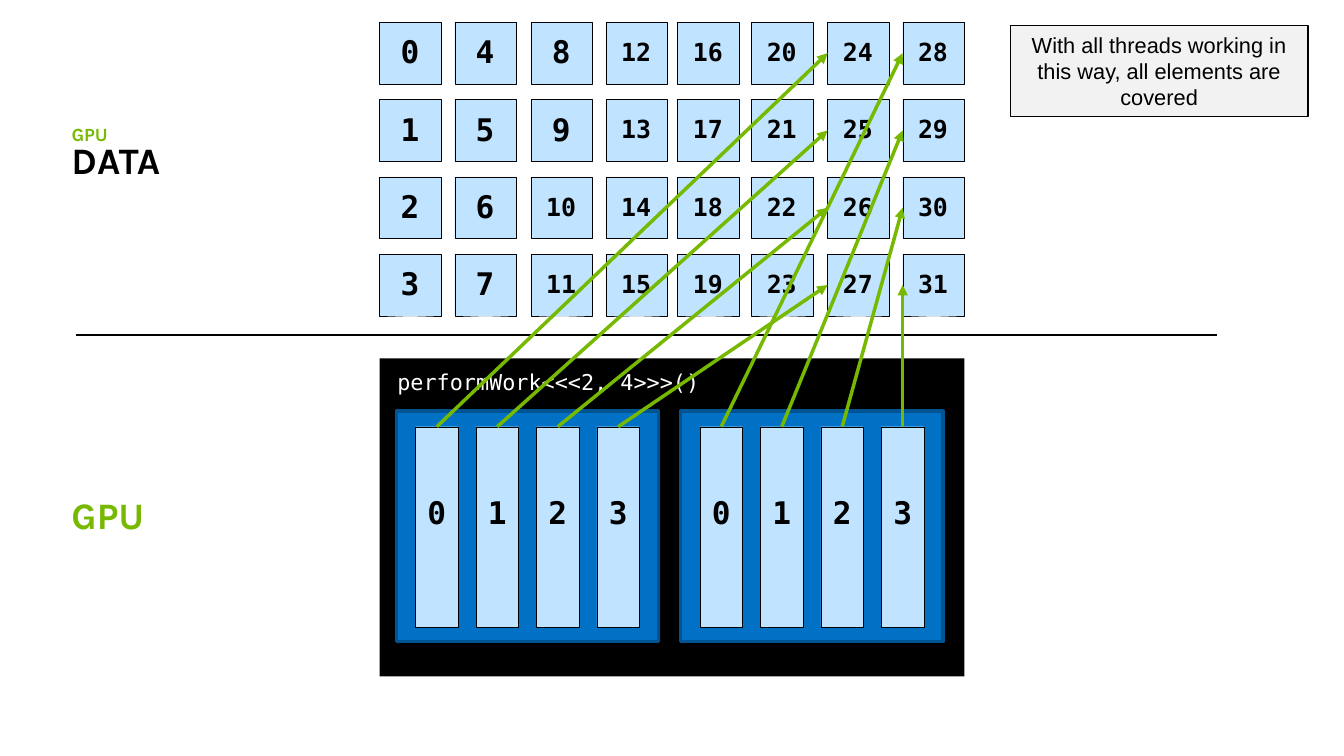
from dataclasses import dataclass

from lxml import etree
from pptx import Presentation
from pptx.dml.color import RGBColor
from pptx.enum import shapes, text
from pptx.oxml import ns
from pptx.util import Inches, Pt

COLORS = {
    "black": "000000",
    "white": "FFFFFF",
    "green": "76B900",
    "block": "0071C5",
    "block edge": "005492",
    "cell": "C0E4FF",
    "callout": "F2F2F2",
}
MONO = "DejaVu Sans Mono"
HEADING = "Karla"

ROWS = 4
COLUMN_LEFTS = (3.39, 4.06, 4.74, 5.41, 6.05, 6.71, 7.39, 8.06)
ROW_TOP, ROW_PITCH, CELL_SIZE = 0.2, 0.69, 0.55
BLOCK_LEFTS = (3.54, 6.08)
THREADS, THREAD_PITCH = 4, 0.54
FIRST_TARGET_COLUMN = 6


@dataclass(frozen=True)
class Box:
    left: float
    top: float
    width: float
    height: float

    def lengths(self):
        return [Inches(v) for v in (self.left, self.top, self.width, self.height)]


@dataclass(frozen=True)
class Style:
    size: float
    font: str
    color: str = "black"
    bold: bool = False
    align: text.PP_ALIGN = text.PP_ALIGN.LEFT
    anchor: text.MSO_ANCHOR = text.MSO_ANCHOR.MIDDLE
    spacing: float = 1.0


@dataclass(frozen=True)
class Heading:
    words: str
    box: Box
    size: float
    color: str


HEADINGS = (
    Heading("GPU", Box(0.54, 4.39, 0.97, 0.46), 24, "green"),
    Heading("DATA", Box(0.54, 1.22, 1.1, 0.46), 24, "black"),
    Heading("GPU", Box(0.54, 1.07, 0.55, 0.28), 12, "green"),
)


def rgb(name: str) -> RGBColor:
    return RGBColor.from_string(COLORS[name])


def add_rect(slide, box: Box, fill: str, edge: str = "", weight: float = 0):
    rect = slide.shapes.add_shape(shapes.MSO_SHAPE.RECTANGLE, *box.lengths())
    rect.shadow.inherit = False
    rect.fill.solid()
    rect.fill.fore_color.rgb = rgb(fill)
    if edge:
        rect.line.color.rgb = rgb(edge)
        rect.line.width = Pt(weight)
    else:
        rect.line.fill.background()
    return rect


def write(shape, words: str, style: Style) -> None:
    frame = shape.text_frame
    frame.word_wrap = True
    frame.vertical_anchor = style.anchor
    paragraph = frame.paragraphs[0]
    paragraph.text = words
    paragraph.alignment = style.align
    paragraph.line_spacing = style.spacing
    paragraph.font.size = Pt(style.size)
    paragraph.font.name = style.font
    paragraph.font.bold = style.bold
    paragraph.font.color.rgb = rgb(style.color)


def add_text(slide, box: Box, words: str, style: Style) -> None:
    write(slide.shapes.add_textbox(*box.lengths()), words, style)


def add_number(slide, number: int, left: float, middle: float) -> None:
    """Place a bold index, smaller when it has two digits, centred on middle."""
    size, height = (20, 0.44) if number < 10 else (16, 0.37)
    style = Style(size, MONO, bold=True, align=text.PP_ALIGN.CENTER)
    add_text(slide, Box(left, middle - height / 2, 0.52, height), str(number), style)


def add_line(slide, start, end, color: str, weight: float):
    line = slide.shapes.add_connector(
        shapes.MSO_CONNECTOR.STRAIGHT, *(Inches(v) for v in (*start, *end))
    )
    line.line.color.rgb = rgb(color)
    line.line.width = Pt(weight)
    etree.SubElement(line._element.spPr, ns.qn("a:effectLst"))
    return line


def add_arrow(slide, thread, cell) -> None:
    """Point from the top of a thread to the left side of its data cell."""
    arrow = add_line(slide, (0, 0), (1, 1), "green", 2.25)
    arrow.begin_connect(thread, 0)
    arrow.end_connect(cell, 1)
    etree.SubElement(arrow.line._get_or_add_ln(), ns.qn("a:tailEnd"), type="triangle")


def add_threads(slide) -> list:
    """Draw both blocks; return one list of thread bars per block."""
    blocks = []
    for block_left in BLOCK_LEFTS:
        add_rect(slide, Box(block_left, 3.67, 2.34, 2.06), "block", "block edge", 2)
        bars = []
        for thread in range(THREADS):
            left = block_left + 0.17 + thread * THREAD_PITCH
            bars.append(
                add_rect(slide, Box(left, 3.81, 0.38, 1.79), "cell", "black", 0.25)
            )
            add_number(slide, thread, left - 0.07, 4.57)
        blocks.append(bars)
    return blocks


def add_data(slide) -> list:
    """Draw the data grid, numbered down each column; return cells by column."""
    columns = []
    for column, left in enumerate(COLUMN_LEFTS):
        cells = []
        for row in range(ROWS):
            top = ROW_TOP + row * ROW_PITCH
            box = Box(left, top, CELL_SIZE, CELL_SIZE)
            cells.append(add_rect(slide, box, "cell", "black", 0.25))
            add_number(slide, column * ROWS + row, left + 0.01, top + 0.26)
        columns.append(cells)
    return columns


def main() -> None:
    deck = Presentation()
    deck.slide_width, deck.slide_height = Inches(12), Inches(6.75)
    slide = deck.slides.add_slide(deck.slide_layouts[6])

    add_rect(slide, Box(3.39, 3.2, 5.22, 2.84), "black")
    launch = add_rect(slide, Box(3.45, 3.28, 3.06, 0.25), "black")
    write(launch, "performWork<<<2, 4>>>()", Style(14, MONO, "white"))
    blocks = add_threads(slide)
    columns = add_data(slide)

    add_line(slide, (0.68, 2.99), (10.87, 2.99), "black", 1.5)
    for heading in HEADINGS:
        style = Style(heading.size, HEADING, heading.color, bold=True,
                      anchor=text.MSO_ANCHOR.BOTTOM, spacing=0.9)
        add_text(slide, heading.box, heading.words, style)

    for bars, cells in zip(blocks, columns[FIRST_TARGET_COLUMN:]):
        for thread, cell in zip(bars, cells):
            add_arrow(slide, thread, cell)

    callout = add_rect(slide, Box(9.02, 0.23, 2.66, 0.81), "callout", "black", 0.75)
    write(callout, "With all threads working in this way, all elements are covered",
          Style(14, "Arial", align=text.PP_ALIGN.CENTER))

    deck.save("out.pptx")


if __name__ == "__main__":
    main()
